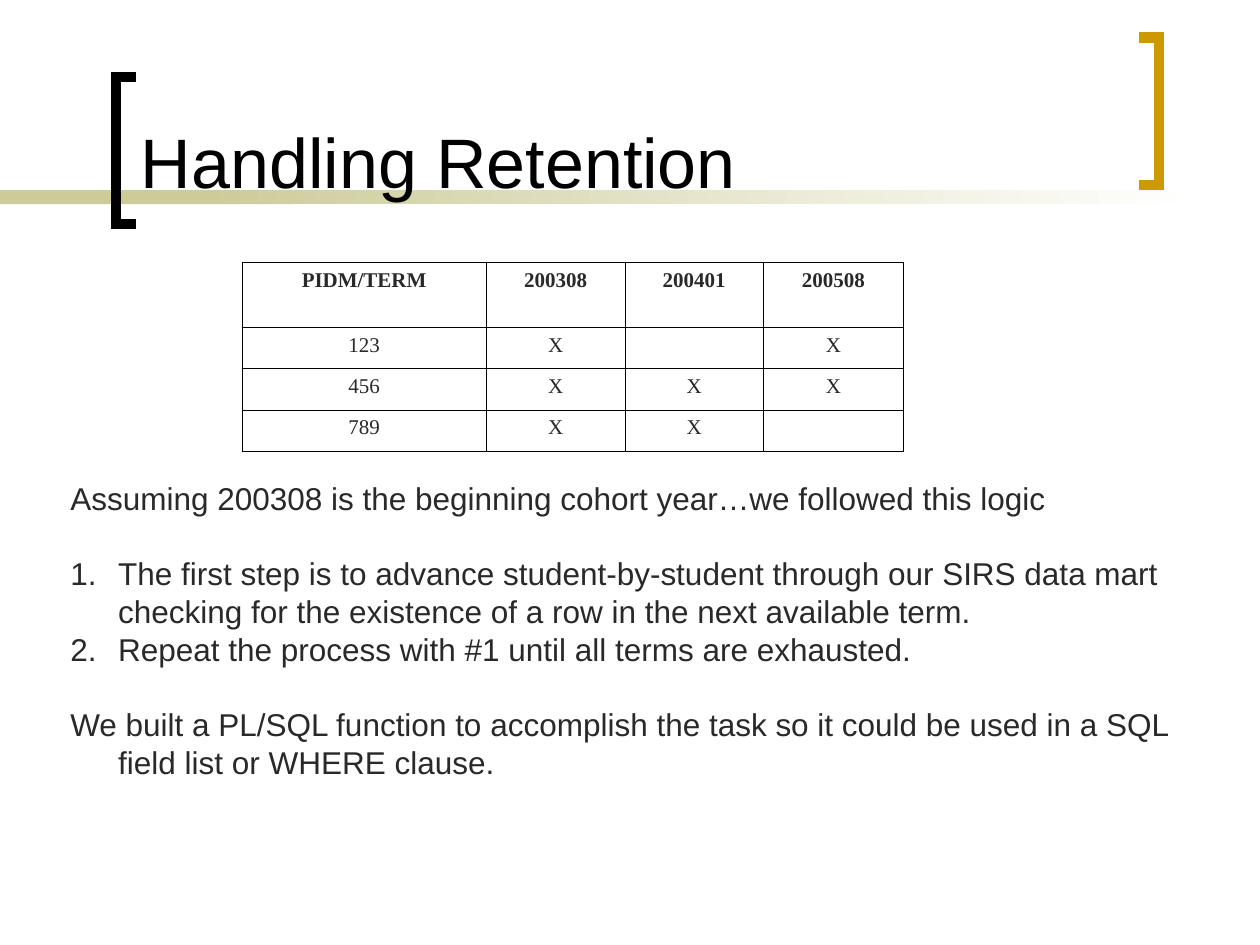
from lxml import etree
from pptx import Presentation
from pptx.dml.color import RGBColor
from pptx.enum.shapes import MSO_SHAPE
from pptx.enum.text import MSO_ANCHOR, PP_ALIGN
from pptx.oxml.ns import qn
from pptx.util import Inches, Pt

RECTANGLE = MSO_SHAPE.RECTANGLE
BOTTOM, TOP = MSO_ANCHOR.BOTTOM, MSO_ANCHOR.TOP
CENTER = PP_ALIGN.CENTER

BLACK, WHITE, INK = "000000", "FFFFFF", "292929"
KHAKI, GOLD = "CCCC99", "CC9900"
SANS, SERIF = "Arial", "Times New Roman"
BODY_SIZE, BODY_PITCH = 18, 21.6
HANGING = 3.8

TERMS = [
    ["PIDM/TERM", "200308", "200401", "200508"],
    ["123", "X", "", "X"],
    ["456", "X", "X", "X"],
    ["789", "X", "X", ""],
]
# Each entry: lines, whether numbered, whether a line is left free above.
LOGIC = [
    (["Assuming 200308 is the beginning cohort year…we followed this logic"], False, False),
    (["The first step is to advance student-by-student through our SIRS data mart",
      "checking for the existence of a row in the next available term."], True, True),
    (["Repeat the process with #1 until all terms are exhausted."], True, False),
    (["We built a PL/SQL function to accomplish the task so it could be used in a SQL",
      "field list or WHERE clause."], False, True),
]


def color(code):
    return RGBColor.from_string(code)


def grid(*counts):
    """Turn counts on a grid of 100 columns by 75 rows into lengths."""
    return [Inches(count / 10) for count in counts]


class SlideBuilder:
    def __init__(self, deck):
        self.page = deck.slides.add_slide(deck.slide_layouts[6])

    def bar(self, left, top, width, height, start, end):
        bar = self.page.shapes.add_shape(RECTANGLE, *grid(left, top, width, height))
        bar.shadow.inherit = False
        bar.line.fill.background()
        if start == end:
            bar.fill.solid()
            bar.fill.fore_color.rgb = color(start)
            return
        bar.fill.gradient()
        bar.fill.gradient_angle = 0
        for stop, code in zip(bar.fill.gradient_stops, (start, end)):
            stop.color.rgb = color(code)

    def bracket(self, tip, spine, top, height, code):
        """Draw a square bracket whose arms run from the spine to the tip."""
        corners = [(tip, top), (spine, top), (spine, top + height), (tip, top + height)]
        points = [grid(*corner) for corner in corners]
        outline = self.page.shapes.build_freeform(*points[0], scale=1.0)
        outline.add_line_segments(points[1:], close=False)
        bracket = outline.convert_to_shape()
        bracket.shadow.inherit = False
        bracket.fill.background()
        bracket.line.color.rgb = color(code)
        bracket.line.width = Pt(6)
        line = bracket.line.fill._xPr
        etree.SubElement(line, qn("a:miter"), lim="800000")

    def span(self, para, text, size, font, code, bold=False):
        span = para.add_run()
        span.text = text
        span.font.size = Pt(size)
        span.font.name = font
        span.font.bold = bold
        span.font.color.rgb = color(code)

    def text_box(self, left, top, width, height, anchor=TOP):
        box = self.page.shapes.add_textbox(*grid(left, top, width, height))
        box.text_frame.word_wrap = True
        box.text_frame.vertical_anchor = anchor
        return box.text_frame

    def title(self, text, *place):
        frame = self.text_box(*place, anchor=BOTTOM)
        self.span(frame.paragraphs[0], text, 40, SANS, BLACK)

    def steps(self, entries, *place):
        frame = self.text_box(*place)
        for index, (lines, numbered, gap) in enumerate(entries):
            para = frame.add_paragraph() if index else frame.paragraphs[0]
            para.line_spacing = Pt(BODY_PITCH)
            para.space_before = Pt(BODY_PITCH if gap else 0)
            self.hang(para, numbered)
            for number, line in enumerate(lines):
                if number:
                    para.add_line_break()
                self.span(para, line, BODY_SIZE, SANS, INK)

    def hang(self, para, numbered):
        indent, = grid(HANGING)
        properties = para._p.get_or_add_pPr()
        properties.set("marL", str(indent))
        properties.set("indent", str(-indent))
        if numbered:
            etree.SubElement(properties, qn("a:buFont"), typeface=SANS)
            etree.SubElement(properties, qn("a:buAutoNum"), type="arabicPeriod")
        else:
            etree.SubElement(properties, qn("a:buNone"))

    def table(self, rows, left, top, widths, heights):
        place = grid(left, top, sum(widths), sum(heights))
        table = self.page.shapes.add_table(len(rows), len(widths), *place).table
        table.first_row = table.horz_banding = False
        for column, width in zip(table.columns, grid(*widths)):
            column.width = width
        for row, height in zip(table.rows, grid(*heights)):
            row.height = height
        for r, texts in enumerate(rows):
            for c, text in enumerate(texts):
                self.cell(table.cell(r, c), text, bold=r == 0)

    def cell(self, cell, text, bold, size=12):
        para = cell.text_frame.paragraphs[0]
        para.alignment = CENTER
        if text:
            self.span(para, text, size, SERIF, INK, bold)
        else:
            etree.SubElement(para._p, qn("a:endParaRPr"), sz=str(size * 100))
        properties = cell._tc.get_or_add_tcPr()
        for side in ("lnL", "lnR", "lnT", "lnB"):
            border = etree.SubElement(properties, qn(f"a:{side}"), w=str(Pt(0.45)))
            fill = etree.SubElement(border, qn("a:solidFill"))
            etree.SubElement(fill, qn("a:srgbClr"), val=BLACK)
        cell.fill.background()


def main():
    deck = Presentation()
    deck.slide_width, deck.slide_height = grid(100, 75)
    slide = SlideBuilder(deck)
    slide.bar(0, 15.1, 23.3, 1.1, KHAKI, KHAKI)
    slide.bar(15.8, 15.1, 79.2, 1.1, KHAKI, WHITE)
    slide.bracket(10.8, 9.2, 6.1, 11.7, BLACK)
    slide.bracket(90.4, 92, 3, 11.7, GOLD)
    slide.title("Handling Retention", 10.2, 1.1, 78.3, 15.5)
    slide.table(TERMS, 19.2, 20.8, [19.4, 11, 11, 11.1], [5.2] + [3.27] * 3)
    slide.steps(LOGIC, 4.6, 37.5, 96.9, 28)
    deck.save("out.pptx")


if __name__ == "__main__":
    main()
